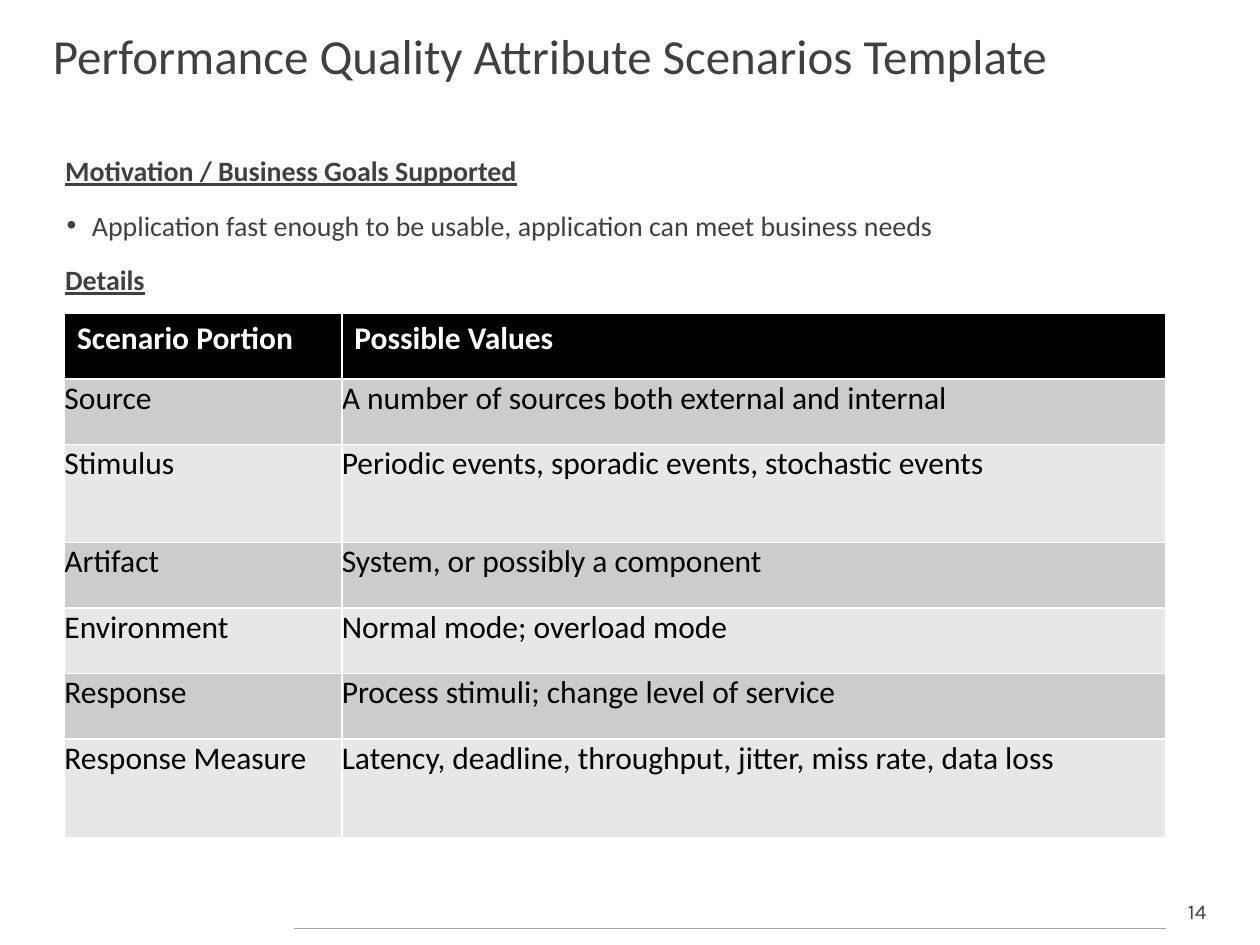
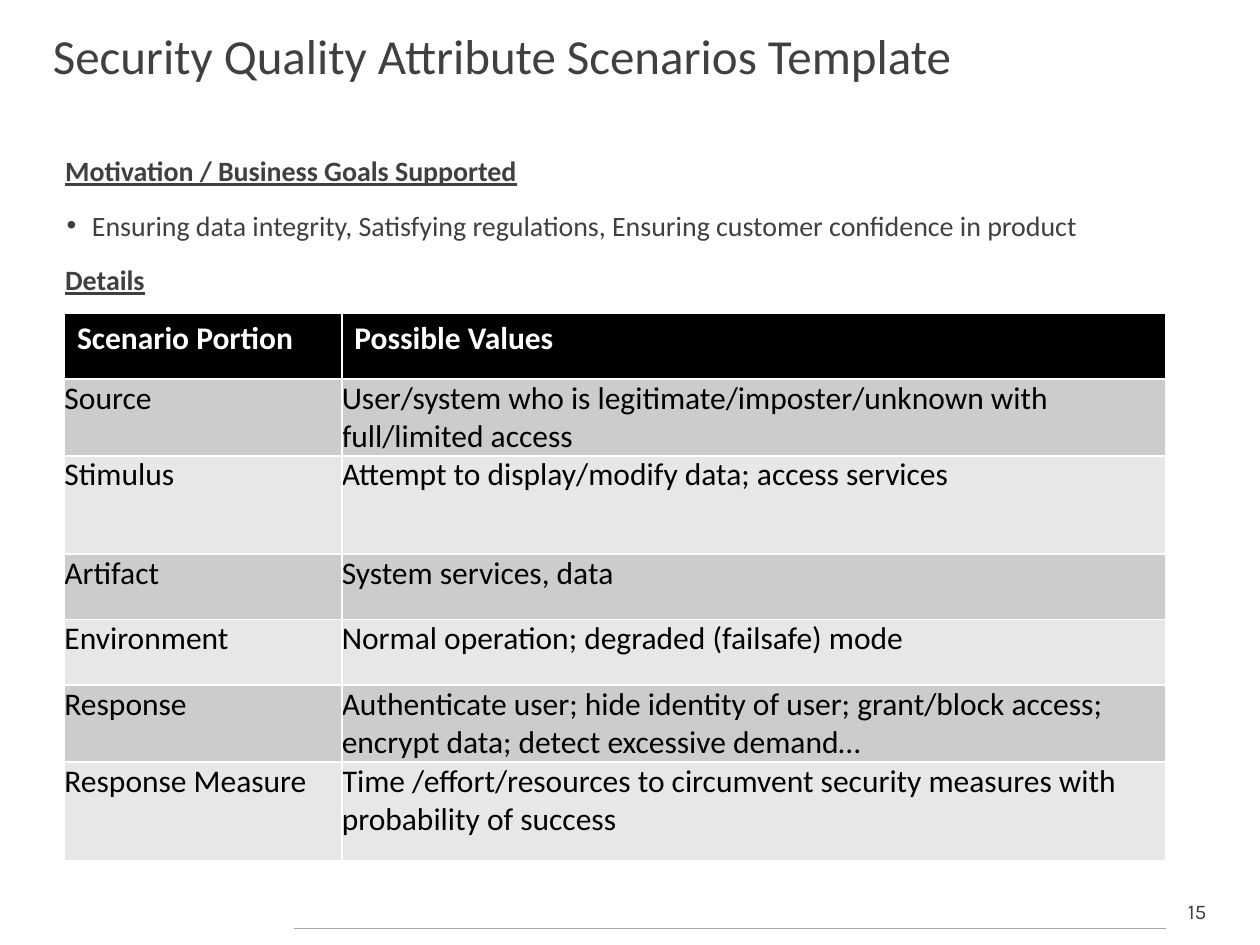
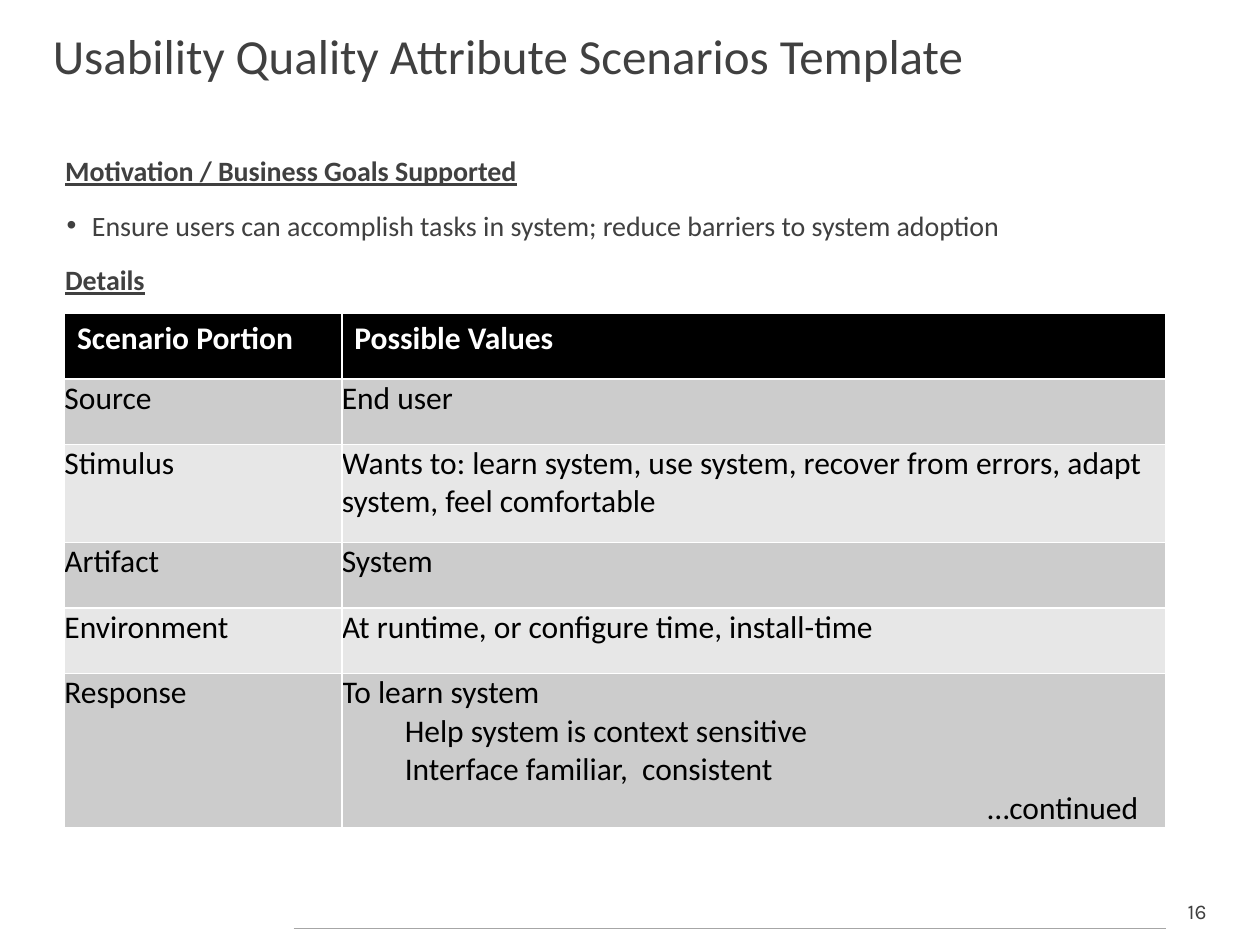
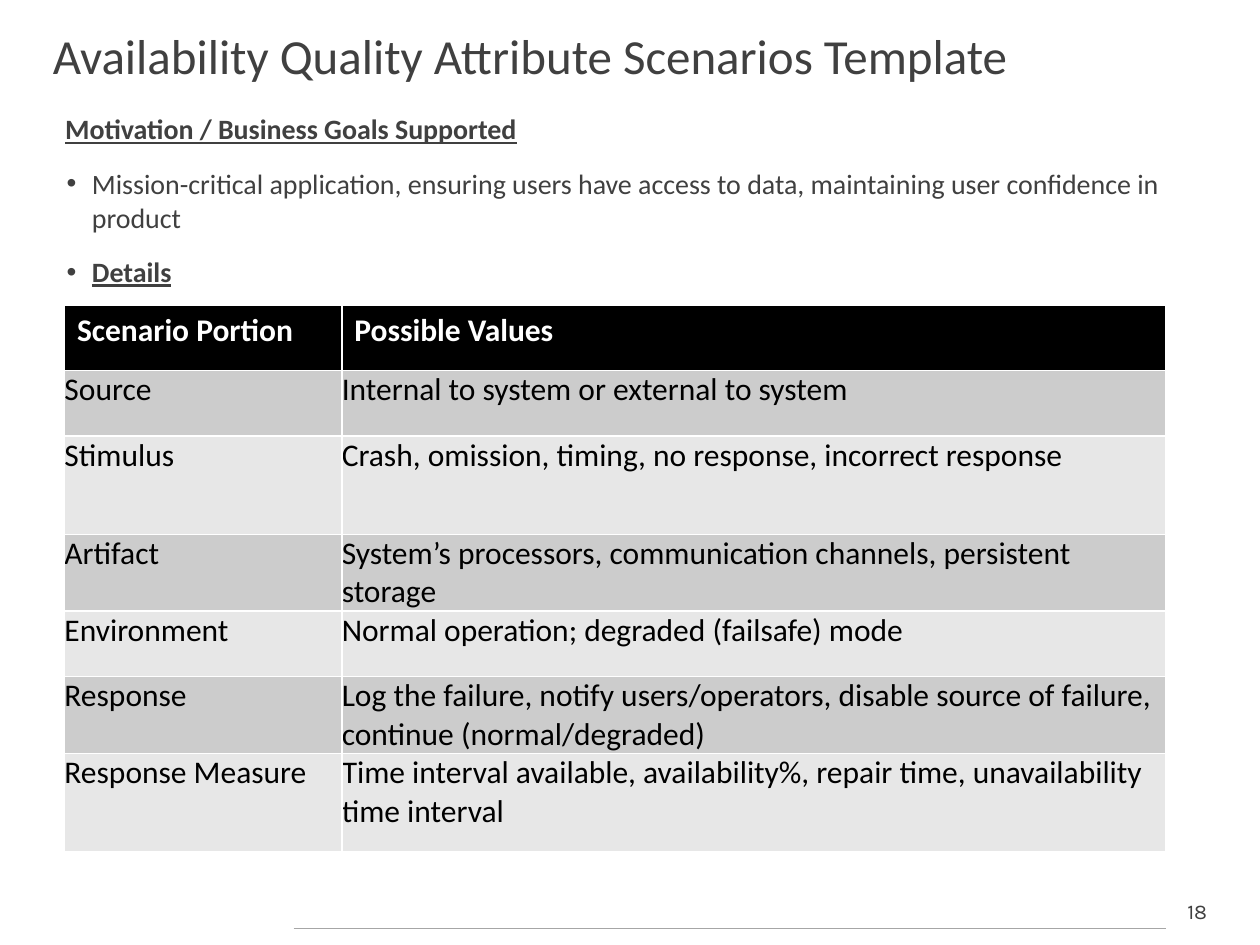
"""Build the quality attribute scenario template slides."""
from lxml.etree import SubElement
from pptx import Presentation
from pptx.dml.color import RGBColor
from pptx.enum.shapes import MSO_CONNECTOR as Connector
from pptx.enum.text import MSO_ANCHOR as Anchor, MSO_AUTO_SIZE as AutoSize, PP_ALIGN as Align
from pptx.oxml.ns import qn
from pptx.util import Cm, Pt

COLORS = {
    "text": "404040",
    "rule": "A6A6A6",
    "header": "000000",
    "header_text": "FFFFFF",
    "cell_text": "000000",
    "odd_row": "CCCCCC",
    "even_row": "E7E7E7",
}
PORTIONS = ["Source", "Stimulus", "Artifact", "Environment", "Response", "Response Measure"]
ROW_HEIGHT = 1.32
TALL_PORTIONS = ("Stimulus", "Response Measure")
RESPONSE_INDENTS = [0, 1.27, 1.27, 13.02]

SCENARIOS = [
    {
        "number": 14, "attribute": "Performance", "body_top": 2.97, "table_top": 6.32,
        "goal": "Application fast enough to be usable, application can meet business needs",
        "details_bullet": False,
        "values": [
            "A number of sources both external and internal",
            "Periodic events, sporadic events, stochastic events",
            "System, or possibly a component",
            "Normal mode; overload mode",
            "Process stimuli; change level of service",
            "Latency, deadline, throughput, jitter, miss rate, data loss",
        ],
    },
    {
        "number": 15, "attribute": "Security", "body_top": 2.97, "table_top": 6.32,
        "goal": "Ensuring data integrity, Satisfying regulations, Ensuring customer confidence in product",
        "details_bullet": False,
        "values": [
            "User/system who is legitimate/imposter/unknown with full/limited access",
            "Attempt to display/modify data; access services",
            "System services, data",
            "Normal operation; degraded (failsafe) mode",
            "Authenticate user; hide identity of user; grant/block access; "
            "encrypt data; detect excessive demand…",
            "Time /effort/resources to circumvent security measures with probability of success",
        ],
    },
    {
        "number": 16, "attribute": "Usability", "body_top": 2.97, "table_top": 6.32,
        "goal": "Ensure users can accomplish tasks in system; reduce barriers to system adoption",
        "details_bullet": False,
        "values": [
            "End user",
            "Wants to: learn system, use system, recover from errors, adapt system, feel comfortable",
            "System",
            "At runtime, or configure time, install-time",
            "To learn system\nHelp system is context sensitive\n"
            "Interface familiar,  consistent\n…continued",
        ],
    },
    {
        "number": 18, "attribute": "Availability", "body_top": 2.13, "table_top": 6.15,
        "goal": "Mission-critical application, ensuring users have access to data, "
                "maintaining user confidence in product",
        "details_bullet": True,
        "values": [
            "Internal to system or external to system",
            "Crash, omission, timing, no response, incorrect response",
            "System’s processors, communication channels, persistent storage",
            "Normal operation; degraded (failsafe) mode",
            "Log the failure, notify users/operators, disable source of failure, "
            "continue (normal/degraded)",
            "Time interval available, availability%, repair time, unavailability time interval",
        ],
    },
]


def style_runs(paragraph, size, color, font="Calibri", bold=False, underline=False):
    for run in paragraph.runs:
        run.font.name = font
        run.font.size = Pt(size)
        run.font.bold = bold
        run.font.underline = underline
        run.font.color.rgb = RGBColor.from_string(COLORS[color])


def indent(paragraph, left, first=0):
    properties = paragraph._p.get_or_add_pPr()
    properties.set("marL", str(Cm(left)))
    properties.set("indent", str(Cm(first)))
    return properties


deck = Presentation()
deck.slide_width, deck.slide_height = Cm(25.4), Cm(19.05)

for scenario in SCENARIOS:
    slide = deck.slides.add_slide(deck.slide_layouts[1])

    title = slide.shapes.title
    title.left, title.top, title.width, title.height = Cm(0.81), Cm(0.38), Cm(24.38), Cm(1.45)
    title.text_frame.text = f"{scenario['attribute']} Quality Attribute Scenarios Template"
    title.text_frame.vertical_anchor = Anchor.TOP
    title.text_frame.auto_size = AutoSize.SHAPE_TO_FIT_TEXT
    title.text_frame.paragraphs[0].alignment = Align.LEFT
    style_runs(title.text_frame.paragraphs[0], 28, "text")

    motivation = slide.placeholders[1]
    motivation.left, motivation.top = Cm(0.58), Cm(scenario["body_top"])
    motivation.width, motivation.height = Cm(23.9), Cm(14.1)
    motivation.text_frame.text = "\n".join(
        ["Motivation / Business Goals Supported", scenario["goal"], "Details"])
    motivation.text_frame.auto_size = AutoSize.NONE
    bulleted = [False, True, scenario["details_bullet"]]
    headings = [True, False, True]
    for paragraph, has_bullet, is_heading in zip(
            motivation.text_frame.paragraphs, bulleted, headings):
        paragraph.level = 2
        paragraph.space_before = Pt(12)
        style_runs(paragraph, 16, "text", bold=is_heading, underline=is_heading)
        if has_bullet:
            properties = indent(paragraph, 1.02, -0.51)
            SubElement(properties, qn("a:buChar")).set("char", "•")
        else:
            SubElement(indent(paragraph, 0.48), qn("a:buNone"))

    rows = [("Scenario Portion", "Possible Values"), *zip(PORTIONS, scenario["values"])]
    heights = [ROW_HEIGHT * (1.5 if portion in TALL_PORTIONS else 1) for portion, _ in rows]
    details = slide.shapes.add_table(
        len(rows), 2, Cm(1.3), Cm(scenario["table_top"]), Cm(22.2), Cm(sum(heights))).table
    details.columns[0].width, details.columns[1].width = Cm(5.59), Cm(16.61)
    for row_index, (texts, height) in enumerate(zip(rows, heights)):
        details.rows[row_index].height = Cm(height)
        is_header = row_index == 0
        fill = "header" if is_header else "odd_row" if row_index % 2 else "even_row"
        for cell, text in zip(details.rows[row_index].cells, texts):
            cell.text_frame.text = text
            cell.fill.solid()
            cell.fill.fore_color.rgb = RGBColor.from_string(COLORS[fill])
            if not is_header:
                cell.margin_left = cell.margin_right = cell.margin_top = cell.margin_bottom = 0
            for paragraph, left in zip(cell.text_frame.paragraphs, RESPONSE_INDENTS):
                indent(paragraph, left)
                style_runs(paragraph, 18, "header_text" if is_header else "cell_text",
                           bold=is_header)

    footer_rule = slide.shapes.add_connector(
        Connector.STRAIGHT, Cm(5.92), Cm(18.72), Cm(23.5), Cm(18.72))
    footer_rule.line.color.rgb = RGBColor.from_string(COLORS["rule"])
    footer_rule.line.width = Pt(0.75)
    SubElement(footer_rule._element.spPr, qn("a:effectLst"))

    page_number = slide.shapes.add_textbox(Cm(23.5), Cm(17.98), Cm(1.27), Cm(0.76)).text_frame
    page_number.text = str(scenario["number"])
    page_number.word_wrap = True
    page_number.auto_size = AutoSize.SHAPE_TO_FIT_TEXT
    page_number.paragraphs[0].alignment = Align.CENTER
    style_runs(page_number.paragraphs[0], 12, "text", font="Karla")

deck.save("out.pptx")
